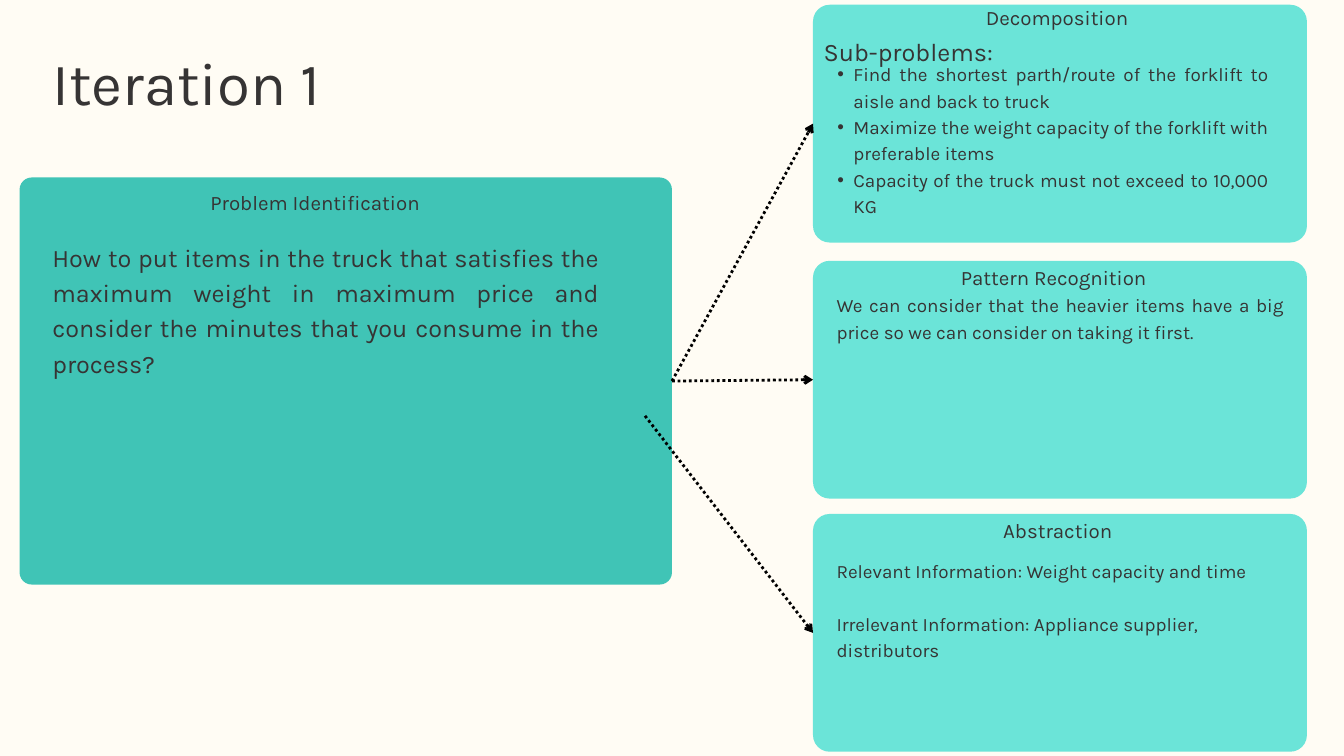
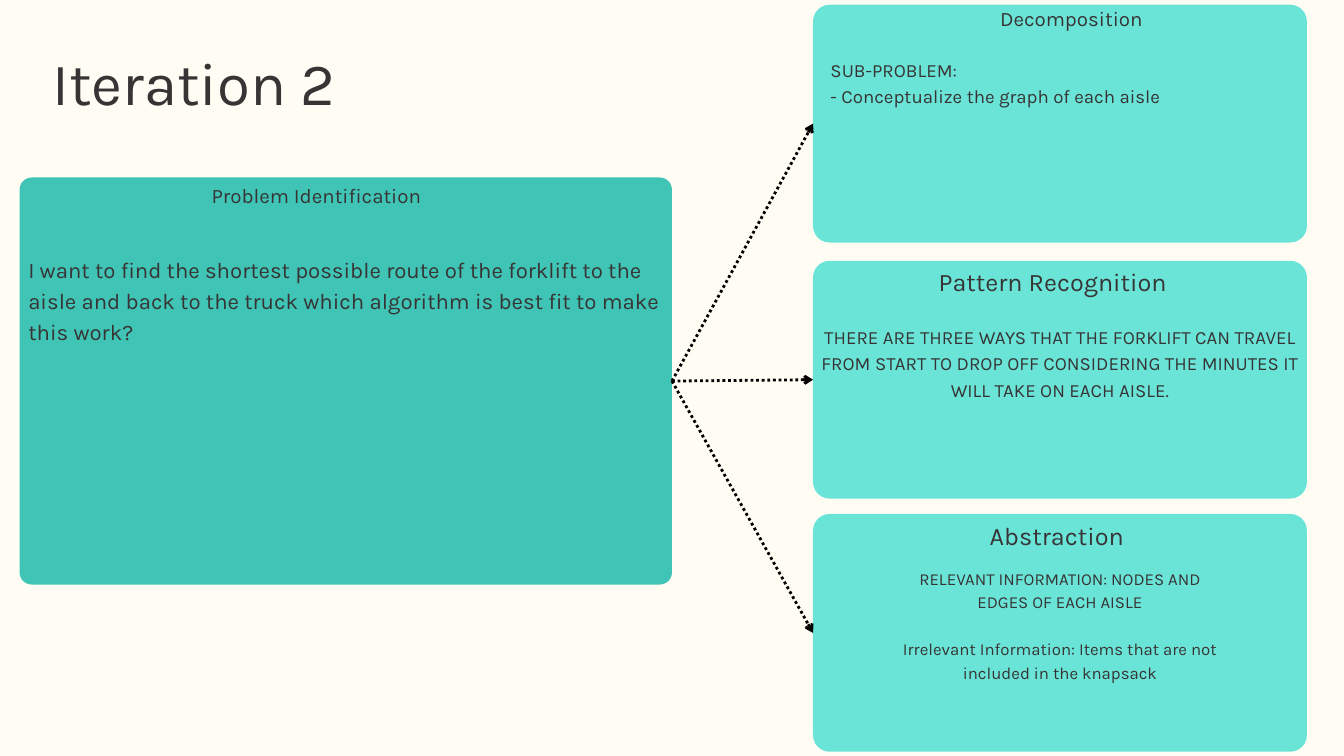
from lxml.etree import SubElement
from pptx import Presentation
from pptx.dml.color import RGBColor
from pptx.enum.dml import MSO_LINE
from pptx.enum.shapes import MSO_CONNECTOR, MSO_SHAPE
from pptx.enum.text import MSO_ANCHOR, MSO_AUTO_SIZE, PP_ALIGN
from pptx.oxml.ns import qn
from pptx.util import Cm, Pt

BACKGROUND = "FFFCF4"
PROBLEM = "40C4B6"
CARD = "6BE4D8"
INK = "363434"
ARROW = "000000"
FONT = "Karla"
LEFT, CENTER, JUSTIFY = PP_ALIGN.LEFT, PP_ALIGN.CENTER, PP_ALIGN.JUSTIFY
CARD_TOPS = [0.18, 9.86, 19.43]


def paint(fill, color):
    fill.solid()
    fill.fore_color.rgb = RGBColor.from_string(color)


def write(sp, box, size, align, lines, leading=1.4, gap=0):
    sp.left, sp.top, sp.width, sp.height = [Cm(v) for v in box]
    tf = sp.text_frame
    tf.word_wrap = True
    tf.auto_size = MSO_AUTO_SIZE.NONE
    tf.vertical_anchor = MSO_ANCHOR.TOP
    tf.margin_left = tf.margin_top = tf.margin_right = tf.margin_bottom = 0
    tf.text = "\n".join(lines)
    for i, p in enumerate(tf.paragraphs):
        p.alignment = align
        p.line_spacing = Pt(size * leading)
        p.space_before = Pt(gap if i else 0)
        for r in p.runs:
            r.font.name = FONT
            r.font.size = Pt(size)
            paint(r.font.fill, INK)


slides = [
    {
        "title": "Iteration 1",
        "last_arrow_start": (24.38, 15.72),
        "bullets": True,
        "body": ((31.04, 2.24, 16.89, 6.93), 20.2, JUSTIFY, [
            "Find the shortest parth/route of the forklift to aisle and back to truck",
            "Maximize the weight capacity of the forklift with preferable items",
            "Capacity of the truck must not exceed to 10,000 KG"]),
        "texts": [
            ((7.95, 7.01, 8.36, 1.07), 22, JUSTIFY, ["Problem Identification"]),
            ((37.26, 0.05, 5.64, 1.07), 22, JUSTIFY, ["Decomposition"]),
            ((36.32, 9.88, 7.47, 1.07), 22, JUSTIFY, ["Pattern Recognition"]),
            ((37.92, 19.41, 4.29, 1.07), 22, JUSTIFY, ["Abstraction"]),
            ((1.98, 8.97, 20.65, 5.28), 27, JUSTIFY, [
                "How to put items in the truck that satisfies the maximum weight in maximum "
                "price and consider the minutes that you consume in the process?"]),
            ((31.09, 1.17, 6.48, 1.32), 27, CENTER, ["Sub-problems:"]),
            ((31.62, 10.97, 16.89, 2.97), 20.2, JUSTIFY, [
                "We can consider that the heavier items have a big price so we can consider "
                "on taking it first."]),
            ((31.62, 21.01, 16.89, 4.88), 20.2, LEFT, [
                "Relevant Information: Weight capacity and time",
                "Irrelevant Information: Appliance supplier, distributors"], 1.4, 28.3),
        ],
    },
    {
        "title": "Iteration 2",
        "last_arrow_start": None,
        "bullets": False,
        "body": ((31.39, 2.08, 17.32, 2.92), 20, JUSTIFY, [
            "SUB-PROBLEM:",
            "- Conceptualize the graph of each aisle"]),
        "texts": [
            ((8, 6.76, 8.36, 1.07), 22, JUSTIFY, ["Problem Identification"]),
            ((37.8, 0.08, 5.64, 1.07), 22, JUSTIFY, ["Decomposition"]),
            ((35.48, 9.88, 9.17, 1.32), 27, JUSTIFY, ["Pattern Recognition"]),
            ((37.41, 19.48, 5.28, 1.32), 27, JUSTIFY, ["Abstraction"]),
            ((1.07, 9.53, 24, 5.84), 23.8, LEFT, [
                "I want to find the shortest possible route of the forklift to the aisle and "
                "back to the truck which algorithm is best fit to make this work?"]),
            ((30.73, 12.19, 18.67, 4.88), 20, CENTER, [
                "THERE ARE THREE WAYS THAT THE FORKLIFT CAN TRAVEL FROM START TO DROP OFF "
                "CONSIDERING THE MINUTES IT WILL TAKE ON EACH AISLE."]),
            ((33.78, 21.36, 12.57, 6.12), 18, CENTER, [
                "RELEVANT INFORMATION: NODES AND EDGES OF EACH AISLE",
                "Irrelevant Information: Items that are not included in the knapsack"],
                1.4, 25.2),
        ],
    },
]

prs = Presentation()
prs.slide_width, prs.slide_height = Cm(50.8), Cm(28.58)
paint(prs.slide_master.background.fill, BACKGROUND)

for content in slides:
    s = prs.slides.add_slide(prs.slide_layouts[1])
    write(s.shapes.title, (1.98, 2.36, 15.65, 2.26), 64.3, LEFT, [content["title"]], 0.92)

    panels = [(0.74, 6.71, 24.66, 15.39, PROBLEM, 0.03)]
    panels += [(30.73, top, 18.67, 8.99, CARD, 0.07) for top in CARD_TOPS]
    boxes = []
    for *box, color, radius in panels:
        sp = s.shapes.add_shape(MSO_SHAPE.ROUNDED_RECTANGLE, *[Cm(v) for v in box])
        sp.adjustments[0] = radius
        sp.shadow.inherit = False
        paint(sp.fill, color)
        sp.line.fill.background()
        boxes.append(sp)

    problem, *cards = boxes
    for card in cards:
        x, y = content["last_arrow_start"] or (25.4, 14.4)
        arrow = s.shapes.add_connector(MSO_CONNECTOR.STRAIGHT, Cm(x), Cm(y), card.left, card.top)
        if card is not cards[-1] or not content["last_arrow_start"]:
            arrow.begin_connect(problem, 3)
        arrow.end_connect(card, 1)
        paint(arrow.line.fill, ARROW)
        arrow.line.width = Pt(3)
        arrow.line.dash_style = MSO_LINE.ROUND_DOT
        SubElement(arrow.line._get_or_add_ln(), qn("a:tailEnd"), type="arrow")
        SubElement(arrow._element.spPr, qn("a:effectLst"))

    for text in content["texts"]:
        write(s.shapes.add_textbox(0, 0, 0, 0), *text)

    body = s.placeholders[1]
    write(body, *content["body"])
    body._element.getparent().append(body._element)
    for p in body.text_frame.paragraphs:
        pPr = p._p.get_or_add_pPr()
        pPr.set("marL", str(Cm(1.22) if content["bullets"] else 0))
        pPr.set("indent", str(Cm(-0.61) if content["bullets"] else 0))
        if content["bullets"]:
            SubElement(pPr, qn("a:buChar"), char="•")
        else:
            SubElement(pPr, qn("a:buNone"))

prs.save("out.pptx")
